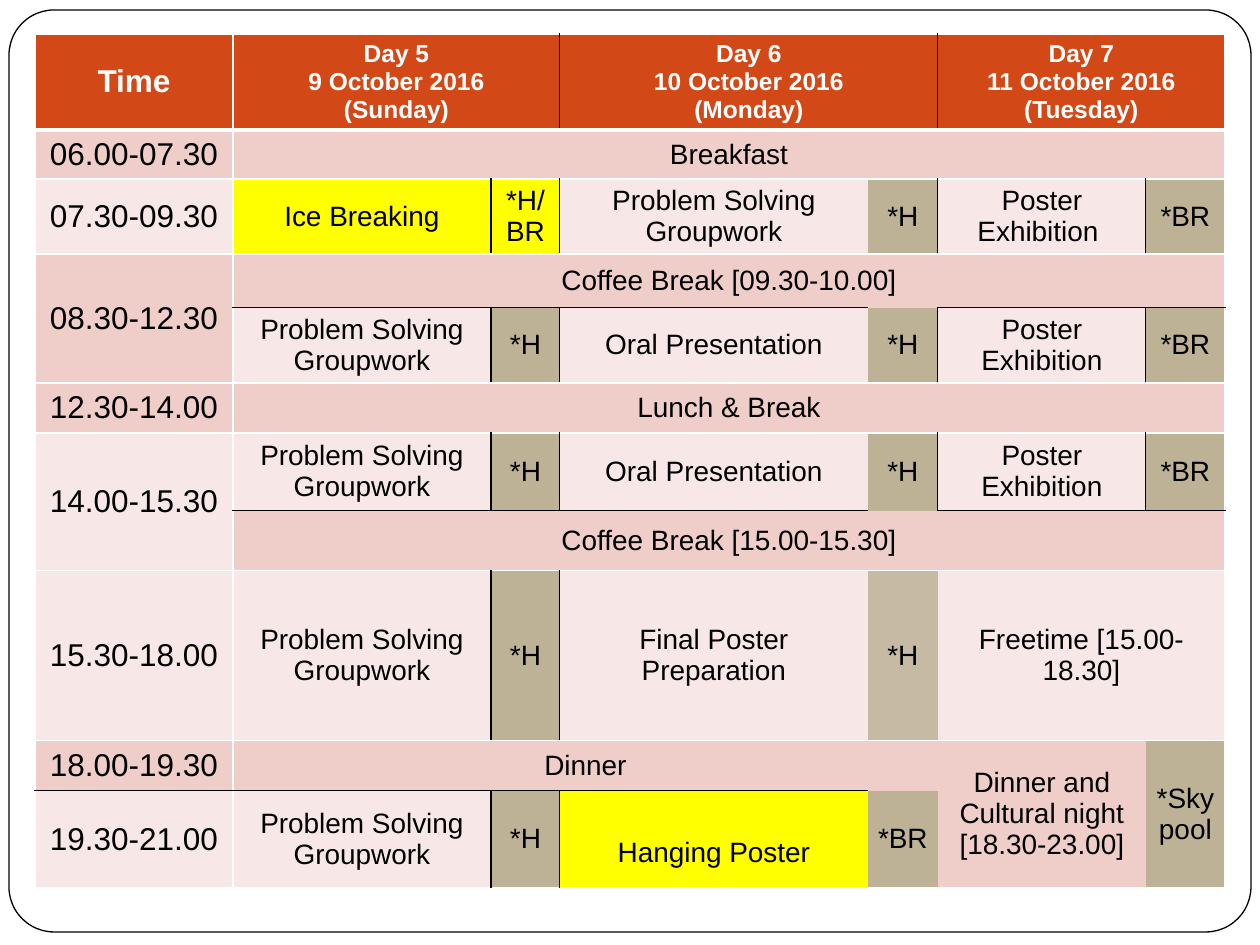
from lxml import etree
from pptx import Presentation
from pptx.dml.color import RGBColor
from pptx.enum.shapes import MSO_SHAPE
from pptx.enum.text import MSO_ANCHOR, PP_ALIGN
from pptx.oxml.ns import qn
from pptx.util import Emu, Pt

ROUND_RECT = MSO_SHAPE.ROUNDED_RECTANGLE
MIDDLE = MSO_ANCHOR.MIDDLE
CENTER = PP_ALIGN.CENTER

BLACK = RGBColor(0x00, 0x00, 0x00)
WHITE = RGBColor(0xFF, 0xFF, 0xFF)
ORANGE = RGBColor(0xD3, 0x48, 0x17)
PINK = RGBColor(0xEF, 0xCE, 0xCA)
PALE = RGBColor(0xF7, 0xE8, 0xE7)
YELLOW = RGBColor(0xFF, 0xFF, 0x00)
TAN = RGBColor(0xBD, 0xB1, 0x96)
LIGHT_TAN = RGBColor(0xC7, 0xBA, 0xA4)

FONT = "Arial"
MARGIN = 6
COLS = [198, 258, 69, 308, 70, 208, 79]
ROWS = [96, 49, 75, 54, 75, 50, 78, 60, 170, 50, 97]

# Border codes: w white, k black, h heavy white, - none
BORDERS = {"w": (WHITE, 1), "k": (BLACK, 0.75), "h": (WHITE, 3)}
SIDES = ("a:lnL", "a:lnT", "a:lnR", "a:lnB")

DAYS = ["Day 5\n9 October 2016\n(Sunday)",
        "Day 6\n10 October 2016\n(Monday)",
        "Day 7\n11 October 2016\n(Tuesday)"]

# row, text, fill, row span, borders (left, top, right, bottom)
TIMES = [
    (1, "06.00-07.30", PINK, 1, "wwww"),
    (2, "07.30-09.30", PALE, 1, "wwww"),
    (3, "08.30-12.30", PINK, 2, "wwww"),
    (5, "12.30-14.00", PINK, 1, "wwww"),
    (6, "14.00-15.30", PALE, 2, "wwww"),
    (8, "15.30-18.00", PALE, 1, "wwww"),
    (9, "18.00-19.30", PINK, 1, "wwwk"),
    (10, "19.30-21.00", PALE, 1, "wkww"),
]

# row, text, column span, borders
BREAKS = [
    (1, "Breakfast", 6, "wwww"),
    (3, "Coffee Break [09.30-10.00]", 6, "wwwk"),
    (5, "Lunch & Break", 6, "wwww"),
    (7, "Coffee Break [15.00-15.30]", 6, "wkww"),
    (9, "Dinner", 4, "ww-k"),
]

GROUPWORK = "Problem Solving\nGroupwork"
ORAL = "Oral Presentation"
POSTER = "Poster Exhibition"
# row, top and bottom border, texts from the second column on
SESSIONS = [
    (2, "ww", ["Ice Breaking", "*H/ BR", GROUPWORK, "*H", POSTER + " ", "*BR"]),
    (4, "kw", [GROUPWORK, "*H", ORAL, "*H", POSTER, "*BR"]),
    (6, "wk", [GROUPWORK, "*H", ORAL, "*H", POSTER, "*BR"]),
    (8, "ww", [GROUPWORK, "*H", "Final Poster Preparation", "*H"]),
    (10, "kw", [GROUPWORK, "*H", "Hanging Poster", "*BR"]),
]
SESSION_FILLS = {(2, 1): YELLOW, (2, 2): YELLOW, (8, 4): LIGHT_TAN,
                 (10, 3): YELLOW}
SESSION_SIDES = ["wk", "kk", "k-", "-k", "kk", "kw"]


def px(n):
    return Emu(round(n * 914400 / 126))


def set_borders(cell, codes):
    tc_pr = cell._tc.get_or_add_tcPr()
    for i, (side, code) in enumerate(zip(SIDES, codes)):
        ln = etree.Element(qn(side))
        tc_pr.insert(i, ln)
        if code == "-":
            etree.SubElement(ln, qn("a:noFill"))
            continue
        color, width = BORDERS[code]
        ln.set("w", str(int(Pt(width))))
        fill = etree.SubElement(ln, qn("a:solidFill"))
        etree.SubElement(fill, qn("a:srgbClr"), val=str(color))


def fill_cell(table, row, col, text, fill, borders="wwww", spans=(1, 1),
              size=16, color=BLACK, bold=False):
    """Merge, paint and write one cell, and return it."""
    cell = table.cell(row, col)
    if spans != (1, 1):
        cell.merge(table.cell(row + spans[0] - 1, col + spans[1] - 1))
    cell.margin_left = cell.margin_right = px(MARGIN)
    cell.margin_top = cell.margin_bottom = px(MARGIN)
    cell.vertical_anchor = MIDDLE
    cell.fill.solid()
    cell.fill.fore_color.rgb = fill
    set_borders(cell, borders)
    p = cell.text_frame.paragraphs[0]
    p.text = text.replace("\n", "\v")
    p.alignment = CENTER
    for r in p.runs:
        r.font.name = FONT
        r.font.size = Pt(size)
        r.font.bold = bold
        r.font.color.rgb = color
    return cell


def add_frame(slide, x, y, w, h):
    sp = slide.shapes.add_shape(ROUND_RECT, px(x), px(y), px(w), px(h))
    sp.adjustments[0] = 0.049
    sp.shadow.inherit = False
    sp.fill.solid()
    sp.fill.fore_color.rgb = WHITE
    sp.line.color.rgb = BLACK
    sp.line.width = Pt(0.75)


def fill_header(table):
    fill_cell(table, 0, 0, "Time", ORANGE, "wwwh", size=18, color=WHITE,
              bold=True)
    for i, (day, borders) in enumerate(zip(DAYS, ["wwkh", "kwkh", "kwwh"])):
        fill_cell(table, 0, 1 + 2 * i, day, ORANGE, borders, (1, 2), 14,
                  WHITE, True)


def fill_sessions(table):
    for row, (top, bottom), texts in SESSIONS:
        for col, text in enumerate(texts, 1):
            left, right = SESSION_SIDES[col - 1]
            borders = left + top + right + bottom
            if col == 4:  # the second room column has no black top or bottom
                borders = borders[0] + borders[1:].replace("k", "-")
                if len(texts) == 6:
                    borders = borders[:2] + "k" + borders[3]
            fill = SESSION_FILLS.get((row, col), PALE if col % 2 else TAN)
            cell = fill_cell(table, row, col, text, fill, borders)
            if text == "Hanging Poster":
                cell.margin_top = px(MARGIN + 28)


def add_timetable(slide, x, y):
    shape = slide.shapes.add_table(len(ROWS), len(COLS), px(x), px(y),
                                   px(sum(COLS)), px(sum(ROWS)))
    table = shape.table
    table.horz_banding = False
    for column, width in zip(table.columns, COLS):
        column.width = px(width)
    for row, height in zip(table.rows, ROWS):
        row.height = px(height)

    fill_header(table)
    for row, text, fill, span, borders in TIMES:
        fill_cell(table, row, 0, text, fill, borders, (span, 1), 18)
    for row, text, span, borders in BREAKS:
        fill_cell(table, row, 1, text, PINK, borders, (1, span))
    fill_sessions(table)
    fill_cell(table, 8, 5, "Freetime [15.00-18.30]", PALE, "-www", (1, 2))
    fill_cell(table, 9, 5, "Dinner and Cultural night\n[18.30-23.00]", PINK,
              "-w-w", (2, 1))
    fill_cell(table, 9, 6, "*Skypool", TAN, "-www", (2, 1))


def main():
    prs = Presentation()
    prs.slide_width, prs.slide_height = px(1260), px(945)
    slide = prs.slides.add_slide(prs.slide_layouts[6])
    add_frame(slide, 9, 10, 1242, 922)
    add_timetable(slide, 35, 34)
    prs.save("out.pptx")


if __name__ == "__main__":
    main()
